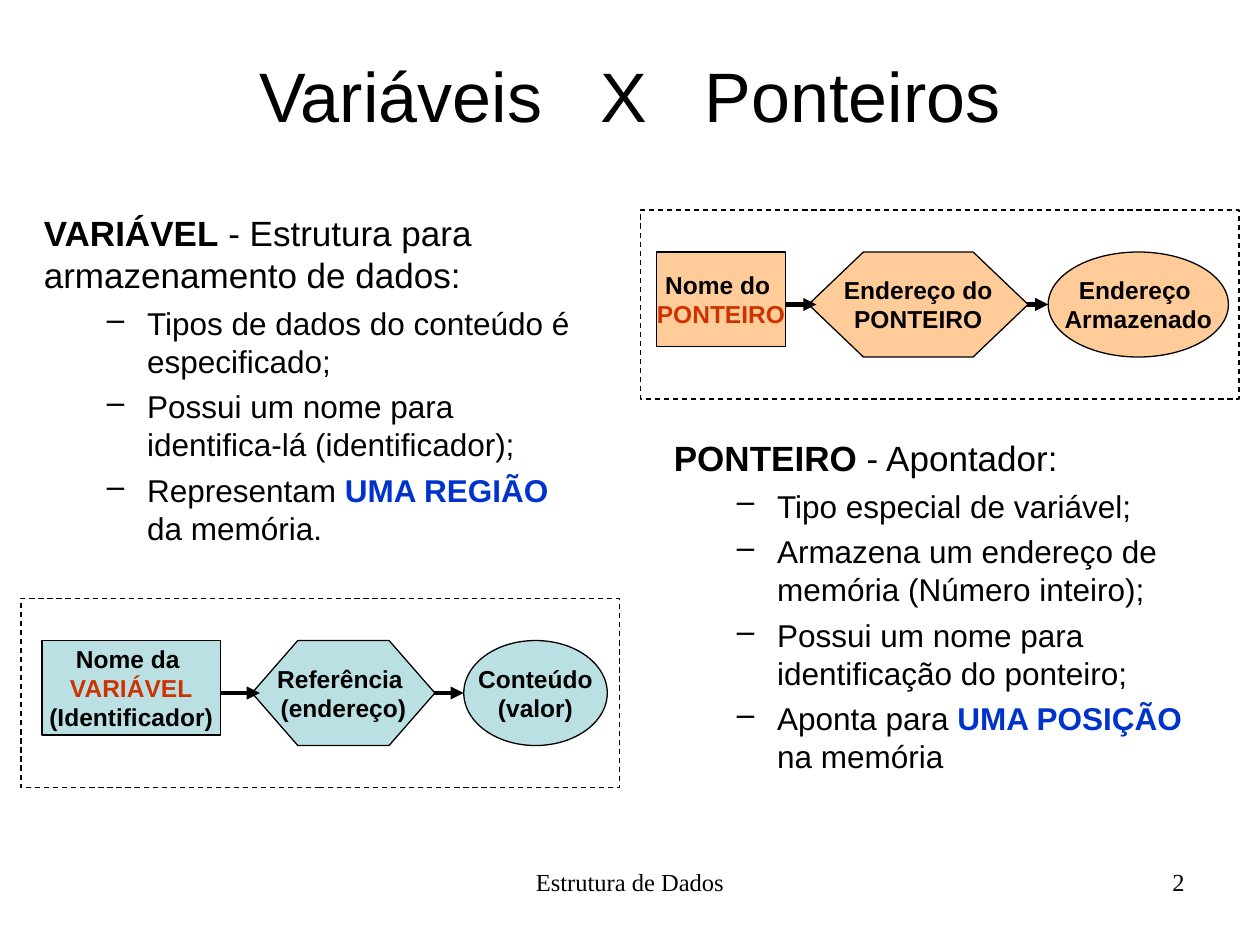
from copy import deepcopy
from dataclasses import dataclass

from lxml import etree
from pptx import Presentation
from pptx import util as u
from pptx.dml.color import RGBColor
from pptx.enum import dml, shapes, text
from pptx.oxml import ns

COLORS = {
    "ink": "000000",
    "blue": "0033CC",
    "red": "CC3300",
    "peach": "FFCC99",
    "aqua": "BBE0E3",
}
TITLE = {"name": "Arial", "size": u.Pt(40), "bold": False}
HEADING = {"name": "Arial", "size": u.Pt(20), "bold": False}
ITEM = {"name": "Arial", "size": u.Pt(18), "bold": False}
LABEL = {"name": "Arial", "size": u.Pt(14), "bold": True}
FOOTER = {"name": "Times New Roman", "size": u.Pt(14), "bold": False}
FRAME_WIDTH, FRAME_HEIGHT = 342, 108
NODE_OFFSET, NODE_HEIGHT, NAME_HEIGHT = 24, 60, 54
ARROW_LENGTH = 22.5


@dataclass(frozen=True)
class Span:
    words: str
    color: str = "ink"
    strong: bool = False


@dataclass(frozen=True)
class Topic:
    left: float
    top: float
    height: float
    heading: list[Span]
    items: list[list[Span]]


@dataclass(frozen=True)
class Node:
    left: float
    width: float
    lines: list[list[Span]]


@dataclass(frozen=True)
class Flow:
    left: float
    top: float
    fill: str
    slant: float
    name: Node
    address: Node
    content: Node


TOPICS = [
    Topic(18, 117.5, 356, [Span("VARIÁVEL", strong=True),
                           Span(" - Estrutura para armazenamento de dados:")], [
        [Span("Tipos de dados do conteúdo é especificado;")],
        [Span("Possui um nome para identifica-lá (identificador);")],
        [Span("Representam "), Span("UMA REGIÃO", "blue", True), Span(" da memória.")],
    ]),
    Topic(378, 246, 216, [Span("PONTEIRO", strong=True), Span(" - Apontador:")], [
        [Span("Tipo especial de variável;")],
        [Span("Armazena um endereço de memória (Número inteiro);")],
        [Span("Possui um nome para identificação do ponteiro;")],
        [Span("Aponta para "), Span("UMA POSIÇÃO", "blue", True), Span(" na memória")],
    ]),
]
FLOWS = [
    Flow(366, 120, "peach", 0.523,
         Node(375, 74, [[Span("Nome do \n"), Span("PONTEIRO", "red")]]),
         Node(462, 125.5, [[Span("Endereço do")], [Span("PONTEIRO")]]),
         Node(599, 103, [[Span("Endereço \nArmazenado")]])),
    Flow(12, 342, "aqua", 0.436,
         Node(24, 102, [[Span("Nome da \n"), Span("VARIÁVEL", "red")],
                        [Span("(Identificador)")]]),
         Node(144, 104.5, [[Span("Referência \n(endereço)")]]),
         Node(265, 82, [[Span("Conteúdo")], [Span("(valor)")]])),
]


def rgb(color: str) -> RGBColor:
    return RGBColor.from_string(COLORS[color])


def write_run(paragraph, words: str, span: Span, style: dict):
    run = paragraph.add_run()
    run.text = words
    for key, value in style.items():
        setattr(run.font, key, value)
    run.font.bold = style["bold"] or span.strong
    run.font.color.rgb = rgb(span.color)
    return run


def write_paragraph(paragraph, spans: list[Span], style: dict, align) -> None:
    paragraph.alignment = align
    for span in spans:
        first, *rest = span.words.split("\n")
        run = write_run(paragraph, first, span, style)
        for words in rest:
            paragraph.add_line_break()
            paragraph._p[-1].append(deepcopy(run._r.rPr))
            if words:
                run = write_run(paragraph, words, span, style)


def write_lines(frame, lines: list[list[Span]], style: dict, align) -> None:
    for index, spans in enumerate(lines):
        paragraph = frame.add_paragraph() if index else frame.paragraphs[0]
        write_paragraph(paragraph, spans, style, align)


def add_text(slide, left: float, top: float, width: float, height: float):
    box = slide.shapes.add_textbox(u.Pt(left), u.Pt(top), u.Pt(width), u.Pt(height))
    box.text_frame.word_wrap = True
    return box.text_frame


def add_bullet(paragraph) -> None:
    properties = paragraph._p.get_or_add_pPr()
    properties.set("marL", str(u.Pt(59)))
    properties.set("indent", str(u.Pt(-23)))
    etree.SubElement(properties, ns.qn("a:buChar")).set("char", "–")


def add_topic(slide, topic: Topic) -> None:
    frame = add_text(slide, topic.left, topic.top, 318, topic.height)
    heading = frame.paragraphs[0]
    heading.space_before = u.Pt(5)
    write_paragraph(heading, topic.heading, HEADING, text.PP_ALIGN.LEFT)
    for spans in topic.items:
        item = frame.add_paragraph()
        item.level = 1
        item.space_before = u.Pt(4.5)
        write_paragraph(item, spans, ITEM, text.PP_ALIGN.LEFT)
        add_bullet(item)


def add_outline(slide, kind, left: float, top: float, width: float, height: float):
    shape = slide.shapes.add_shape(kind, u.Pt(left), u.Pt(top), u.Pt(width), u.Pt(height))
    shape.shadow.inherit = False
    shape.line.color.rgb = rgb("ink")
    shape.line.width = u.Pt(0.75)
    return shape


def add_node(slide, kind, node: Node, top: float, height: float, fill: str):
    shape = add_outline(slide, kind, node.left, top, node.width, height)
    shape.fill.solid()
    shape.fill.fore_color.rgb = rgb(fill)
    frame = shape.text_frame
    frame.word_wrap = False
    frame.vertical_anchor = text.MSO_ANCHOR.MIDDLE
    write_lines(frame, node.lines, LABEL, text.PP_ALIGN.CENTER)
    return shape


def add_arrow(slide, tip: float, y: float) -> None:
    arrow = slide.shapes.add_connector(
        shapes.MSO_CONNECTOR.STRAIGHT, u.Pt(tip - ARROW_LENGTH), u.Pt(y), u.Pt(tip), u.Pt(y))
    arrow.line.color.rgb = rgb("ink")
    arrow.line.width = u.Pt(2.5)
    etree.SubElement(arrow.line._get_or_add_ln(), ns.qn("a:tailEnd")).set("type", "triangle")
    etree.SubElement(arrow._element.spPr, ns.qn("a:effectLst"))


def add_flow(slide, flow: Flow) -> None:
    kinds = shapes.MSO_SHAPE
    border = add_outline(slide, kinds.RECTANGLE, flow.left, flow.top, FRAME_WIDTH, FRAME_HEIGHT)
    border.fill.background()
    border.line.dash_style = dml.MSO_LINE.DASH
    top = flow.top + NODE_OFFSET
    middle = top + NODE_HEIGHT / 2
    add_arrow(slide, flow.content.left, middle)
    hexagon = add_node(slide, kinds.HEXAGON, flow.address, top, NODE_HEIGHT, flow.fill)
    hexagon.adjustments[0] = flow.slant
    add_node(slide, kinds.OVAL, flow.content, top, NODE_HEIGHT, flow.fill)
    add_arrow(slide, flow.address.left + 4.5, middle)
    add_node(slide, kinds.RECTANGLE, flow.name, top, NAME_HEIGHT, flow.fill)


def main() -> None:
    deck = Presentation()
    deck.slide_width, deck.slide_height = u.Pt(720), u.Pt(540)
    slide = deck.slides.add_slide(deck.slide_layouts[6])
    footer = add_text(slide, 246, 492, 228, 37.5)
    write_lines(footer, [[Span("Estrutura de Dados")]], FOOTER, text.PP_ALIGN.CENTER)
    number = add_text(slide, 516, 492, 168, 37.5)
    write_lines(number, [[Span("2")]], FOOTER, text.PP_ALIGN.RIGHT)
    title = add_text(slide, 36, 12, 648, 84)
    title.vertical_anchor = text.MSO_ANCHOR.MIDDLE
    write_lines(title, [[Span("Variáveis   X   Ponteiros")]], TITLE, text.PP_ALIGN.CENTER)
    for topic in TOPICS:
        add_topic(slide, topic)
    for flow in FLOWS:
        add_flow(slide, flow)
    deck.save("out.pptx")


if __name__ == "__main__":
    main()
